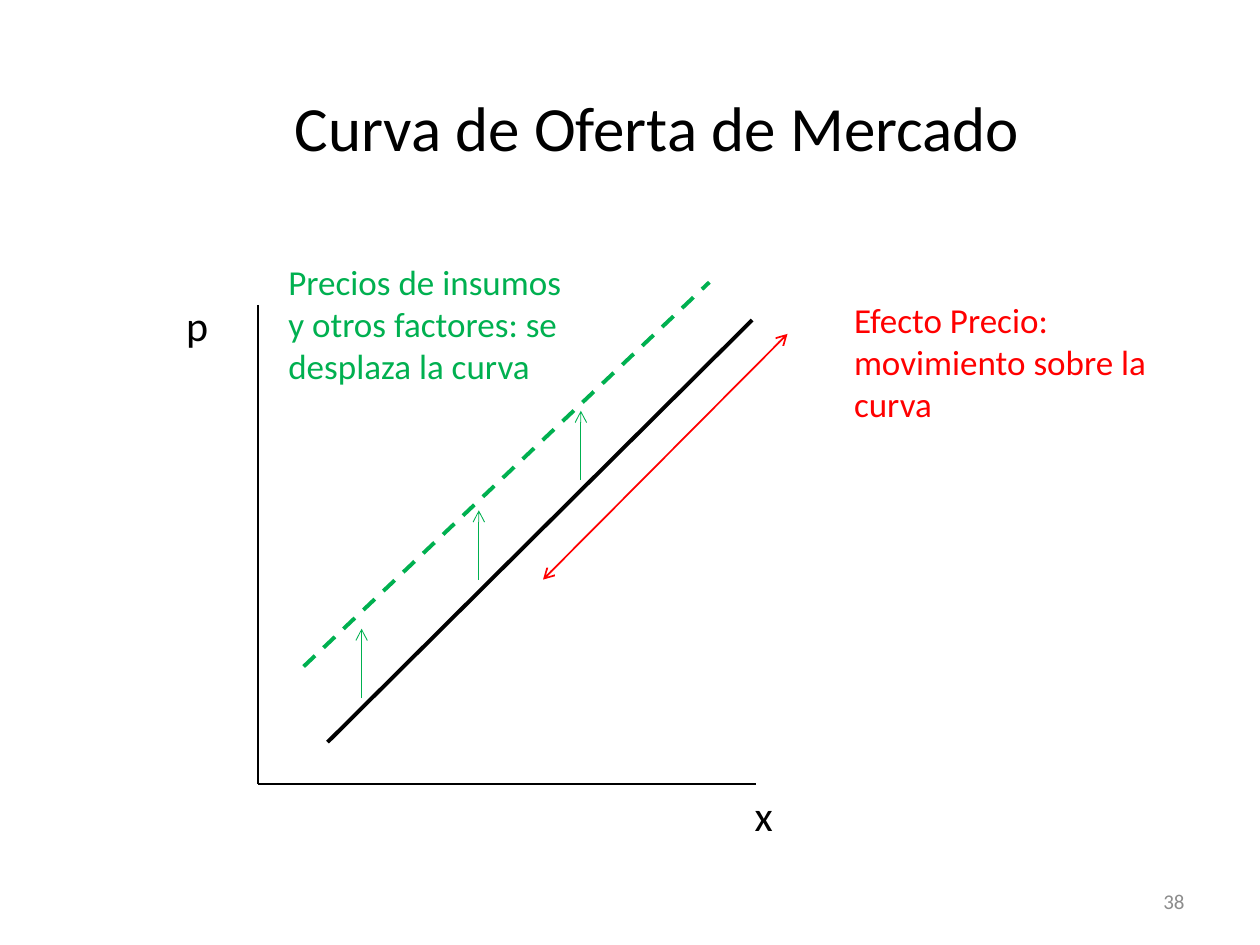
from pptx import Presentation
from pptx.dml.color import RGBColor
from pptx.enum.dml import MSO_LINE
from pptx.enum.shapes import MSO_CONNECTOR
from pptx.enum.text import MSO_ANCHOR, PP_ALIGN
from pptx.oxml.ns import qn
from pptx.util import Inches, Pt
from lxml.etree import SubElement

BLACK, GREEN, RED, GRAY = "000000", "00B050", "FF0000", "8C8C8C"


def paint(text):
    return RGBColor.from_string(text)


def add_text(slide, box, text, size, color, align=PP_ALIGN.LEFT,
             anchor=MSO_ANCHOR.TOP, wrap=True):
    shape = slide.shapes.add_textbox(*map(Inches, box))
    frame = shape.text_frame
    for name, value in {"word_wrap": wrap, "vertical_anchor": anchor}.items():
        setattr(frame, name, value)
    para = frame.paragraphs[0]
    para.text = text
    para.alignment = align
    for name, value in {"name": "Calibri", "size": Pt(size)}.items():
        setattr(para.font, name, value)
    para.font.color.rgb = paint(color)


def add_line(slide, start, end, color, width, dash=None, tips=()):
    line = slide.shapes.add_connector(
        MSO_CONNECTOR.STRAIGHT, *map(Inches, start + end))
    SubElement(line._element.spPr, qn("a:effectLst"))
    line.line.color.rgb = paint(color)
    for name, value in {"width": Pt(width), "dash_style": dash}.items():
        setattr(line.line, name, value)
    # Tips follow the dash in the line's XML: head first, then tail
    for tip in tips:
        SubElement(line.line._get_or_add_ln(), qn(f"a:{tip}"), type="arrow")


def main():
    deck = Presentation()
    deck.slide_width, deck.slide_height = Inches(10), Inches(7.5)
    slide = deck.slides.add_slide(deck.slide_layouts[6])

    # Title and page number
    add_text(slide, (0.75, 0.65, 8.93, 0.71), "Curva de Oferta de Mercado",
             36, BLACK, PP_ALIGN.CENTER, MSO_ANCHOR.MIDDLE)
    add_text(slide, (7.17, 6.95, 2.33, 0.4), "38",
             12, GRAY, PP_ALIGN.RIGHT, MSO_ANCHOR.MIDDLE)

    # Axes with their names
    base = (2.05, 6.22)
    add_line(slide, (2.05, 2.42), base, BLACK, 1)
    add_line(slide, base, (6, 6.22), BLACK, 1)
    add_text(slide, (1.38, 2.33, 0.9, 0.53), "p", 24, BLACK)
    add_text(slide, (5.89, 6.22, 0.54, 0.53), "x", 24, BLACK, wrap=False)

    # Supply curve and shifted curve
    add_line(slide, (2.6, 5.89), (5.97, 2.54), BLACK, 2.25)
    add_line(slide, (2.41, 5.29), (5.63, 2.24), GREEN, 2.25, MSO_LINE.DASH)

    # Shift of the curve
    for left, low in ((2.87, 5.54), (3.8, 4.6), (4.61, 3.81)):
        add_line(slide, (left, low), (left, low - 0.55), GREEN, 0.5,
                 tips=("tailEnd",))
    add_text(slide, (2.19, 2.02, 2.42, 1.78),
             "Precios de insumos y otros factores: se desplaza la curva",
             20, GREEN)

    # Move along the curve
    add_line(slide, (4.31, 4.6), (6.25, 2.65), RED, 1,
             tips=("headEnd", "tailEnd"))
    add_text(slide, (6.68, 2.32, 2.76, 1.19),
             "Efecto Precio: movimiento sobre la curva", 20, RED)

    deck.save("out.pptx")


if __name__ == "__main__":
    main()
